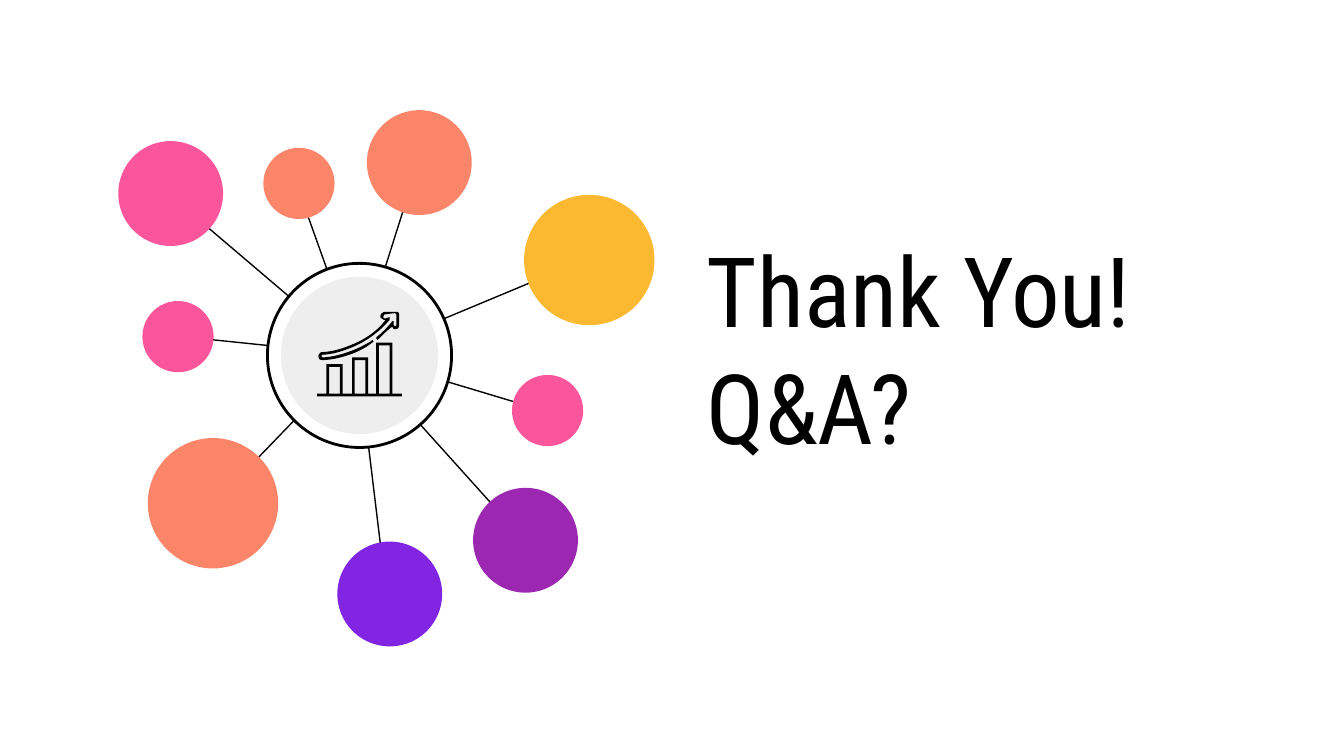
from lxml import etree
from pptx import Presentation
from pptx import util as u
from pptx.dml import color
from pptx.enum import shapes, text
from pptx.oxml import ns


def rgb(code):
    return color.RGBColor.from_string(code)


def bend(a, b, c, d, steps=8):
    points = []
    for i in range(1, steps + 1):
        t = i / steps
        s = 1 - t
        mix = (s ** 3, 3 * s * s * t, 3 * s * t * t, t ** 3)
        points.append(tuple(sum(m * p[k] for m, p in zip(mix, (a, b, c, d)))
                            for k in (0, 1)))
    return points


def route(start, *legs):
    points = [start]
    for leg in legs:
        if len(leg) == 2:
            points.append(leg)
        else:
            points += bend(points[-1], leg[:2], leg[2:4], leg[4:])
    return points


class Deck:
    font = "Roboto Condensed"
    ink = "000000"

    def __init__(self, wide, high):
        self.prs = Presentation()
        self.prs.slide_width = u.Inches(wide)
        self.prs.slide_height = u.Inches(high)
        self.slide = self.prs.slides.add_slide(self.prs.slide_layouts[5])

    def title(self, lines, x, y, w, h, size):
        box = self.slide.shapes.title
        box.left, box.top = u.Inches(x), u.Inches(y)
        box.width, box.height = u.Inches(w), u.Inches(h)
        frame = box.text_frame
        frame.word_wrap = True
        frame.auto_size = text.MSO_AUTO_SIZE.NONE
        frame.vertical_anchor = text.MSO_ANCHOR.MIDDLE
        frame.margin_left = frame.margin_right = u.Inches(0.1)
        frame.margin_top = frame.margin_bottom = u.Inches(0.1)
        para = frame.paragraphs[0]
        para.alignment = text.PP_ALIGN.LEFT
        for i, line in enumerate(lines):
            if i:
                para.add_line_break()
            run = para.add_run()
            run.text = line
            run.font.name = self.font
            run.font.size = u.Pt(size)
            run.font.color.rgb = rgb(self.ink)

    def paint(self, shape, fill, width=None):
        shape.shadow.inherit = False
        shape.fill.solid()
        shape.fill.fore_color.rgb = rgb(fill)
        if width:
            shape.line.color.rgb = rgb(self.ink)
            shape.line.width = u.Pt(width)
        else:
            shape.line.fill.background()

    def disc(self, x, y, size, fill, width=None):
        shape = self.slide.shapes.add_shape(
            shapes.MSO_SHAPE.OVAL, u.Inches(x), u.Inches(y),
            u.Inches(size), u.Inches(size))
        self.paint(shape, fill, width)

    def link(self, start, end, width):
        line = self.slide.shapes.add_connector(
            shapes.MSO_CONNECTOR.STRAIGHT, u.Inches(start[0]), u.Inches(start[1]),
            u.Inches(end[0]), u.Inches(end[1]))
        line.line.color.rgb = rgb(self.ink)
        line.line.width = u.Pt(width)
        etree.SubElement(line._element.spPr, ns.qn("a:effectLst"))

    def trace(self, *rings):
        pen = None
        for ring in rings:
            spots = [(u.Inches(x), u.Inches(y)) for x, y in ring]
            if pen:
                pen.move_to(*spots[0])
            else:
                pen = self.slide.shapes.build_freeform(*spots[0])
            pen.add_line_segments(spots[1:], close=True)
        self.paint(pen.convert_to_shape(), self.ink)


HUB = (2.66, 2.64)
BIG, MID, SMALL = 0.97, 0.78, 0.53
CORAL, PINK = "FB8569", "FB569C"
NODES = [
    ((4.41, 1.91), (3.9, 1.45), BIG, "FBB831"),
    ((1.57, 3.77), (1.1, 3.26), BIG, CORAL),
    ((3.11, 1.22), (2.73, 0.82), MID, CORAL),
    ((1.25, 1.44), (0.88, 1.05), MID, PINK),
    ((3.92, 4.04), (3.52, 3.63), MID, "9C27B0"),
    ((2.88, 4.46), (2.51, 4.03), MID, "8225E2"),
    ((1.31, 2.5), (1.06, 2.24), SMALL, PINK),
    ((4.06, 3.06), (3.81, 2.79), SMALL, PINK),
    ((2.21, 1.38), (1.96, 1.1), SMALL, CORAL),
]
BARS = [(2.45, 2.73), (2.64, 2.68), (2.82, 2.57)]
ARROW = route(
    (2.94, 2.32), (2.86, 2.32), (2.84, 2.33, 2.83, 2.34, 2.83, 2.36),
    (2.84, 2.37, 2.85, 2.38, 2.86, 2.38), (2.87, 2.38),
    (2.78, 2.5, 2.66, 2.55, 2.58, 2.58), (2.48, 2.62, 2.4, 2.62, 2.4, 2.62),
    (2.38, 2.62, 2.37, 2.64, 2.37, 2.65), (2.37, 2.67, 2.38, 2.68, 2.4, 2.68),
    (2.4, 2.68, 2.49, 2.68, 2.6, 2.64), (2.66, 2.62, 2.72, 2.59, 2.77, 2.55),
    (2.78, 2.54), (2.77, 2.53), (2.76, 2.54),
    (2.71, 2.57, 2.65, 2.6, 2.59, 2.62), (2.48, 2.66, 2.4, 2.66, 2.4, 2.66),
    (2.39, 2.65), (2.4, 2.64), (2.4, 2.64, 2.48, 2.64, 2.58, 2.6),
    (2.67, 2.57, 2.8, 2.5, 2.9, 2.38), (2.9, 2.36), (2.87, 2.37),
    (2.86, 2.37), (2.85, 2.36), (2.86, 2.34), (2.94, 2.33), (2.95, 2.34),
    (2.95, 2.42), (2.94, 2.43), (2.93, 2.42), (2.93, 2.39), (2.92, 2.39),
    (2.88, 2.44, 2.84, 2.48, 2.8, 2.51), (2.8, 2.52), (2.81, 2.53),
    (2.85, 2.49, 2.88, 2.46, 2.92, 2.43), (2.92, 2.44, 2.93, 2.45, 2.94, 2.45),
    (2.96, 2.45, 2.97, 2.44, 2.97, 2.42), (2.97, 2.35),
    (2.97, 2.34, 2.97, 2.33, 2.96, 2.32),
)


def chart(deck):
    low, foot, rim, wide = 2.93, 2.95, 0.02, 0.08
    outer = [(2.36, foot), (2.36, low)]
    holes = []
    for x, top in BARS:
        end = x + wide
        outer += [(x - rim, low), (x - rim, top - rim),
                  (end + rim, top - rim), (end + rim, low)]
        holes.append([(end, top), (end, low), (x, low), (x, top)])
    outer += [(2.99, low), (2.99, foot)]
    deck.trace(outer, *holes)


def main():
    deck = Deck(10, 10 * 9 / 16)
    deck.title(["Thank You!", "Q&A?"], 5.16, 1.4, 3.76, 2.37, 52)
    for end, spot, size, fill in NODES:
        deck.link(end, HUB, 0.75)
        deck.disc(*spot, size, fill)
    deck.disc(1.99, 1.96, 1.37, "FFFFFF", 1.5)
    deck.disc(2.09, 2.06, 1.17, "EEEEEE")
    chart(deck)
    deck.trace(ARROW)
    deck.prs.save("out.pptx")


if __name__ == "__main__":
    main()
